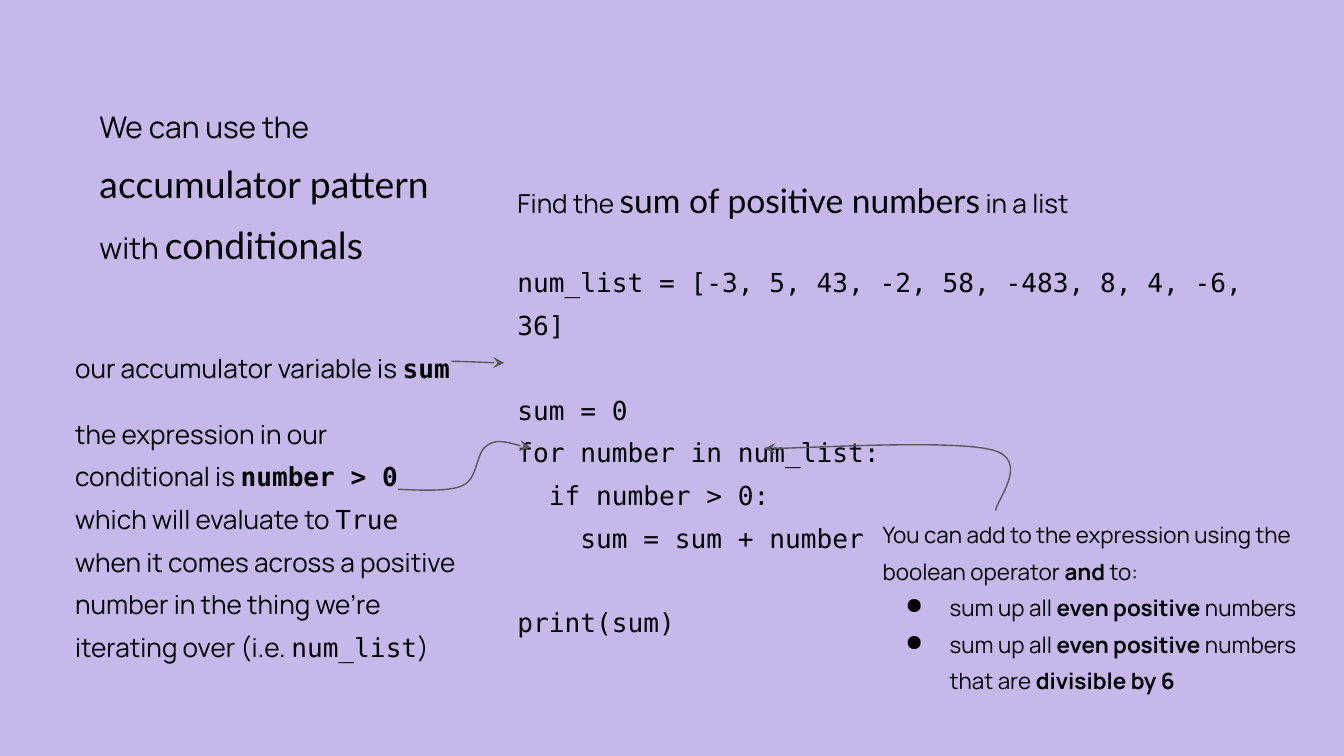
import pptx
import pptx.dml.color
import pptx.enum.text
import pptx.oxml
import pptx.oxml.ns
import pptx.util
from pptx.util import Cm

SANS, ACCENT, MONO = "Manrope", "Lato", "DejaVu Sans Mono"
BLACK, GREY, LILAC = "000000", "595959", "C6B8EB"
NS = pptx.oxml.ns.nsdecls("a")
qn = pptx.oxml.ns.qn


def rgb(value):
    return pptx.dml.color.RGBColor.from_string(value)


def write(sp, box, paragraphs):
    """Place sp and fill it; a paragraph is (space before, bulleted, runs)."""
    sp.left, sp.top, sp.width, sp.height = [Cm(v) for v in box]
    tf = sp.text_frame
    frame = dict.fromkeys(("margin_left", "margin_top", "margin_right", "margin_bottom"), Cm(0.25))
    frame.update(word_wrap=True, auto_size=pptx.enum.text.MSO_AUTO_SIZE.NONE,
                 vertical_anchor=pptx.enum.text.MSO_ANCHOR.TOP)
    for name, value in frame.items():
        setattr(tf, name, value)
    for i, (before, bulleted, runs) in enumerate(paragraphs):
        p = tf.add_paragraph() if i else tf.paragraphs[0]
        style = {"alignment": pptx.enum.text.PP_ALIGN.LEFT, "line_spacing": 1.36,
                 "space_before": pptx.util.Pt(before), "space_after": pptx.util.Pt(0)}
        for name, value in style.items():
            setattr(p, name, value)
        pPr = p._p.get_or_add_pPr()
        pPr.set("marL", str(Cm(1.27) if bulleted else 0))
        pPr.set("indent", str(Cm(-0.84) if bulleted else 0))
        if bulleted:
            pPr.append(pptx.oxml.parse_xml(f'<a:buClr {NS}><a:srgbClr val="{BLACK}"/></a:buClr>'))
            pPr.append(pptx.oxml.parse_xml(f'<a:buChar {NS} char="●"/>'))
        else:
            pPr.append(pptx.oxml.parse_xml(f"<a:buNone {NS}/>"))
        for text, font, size, bold in runs:
            r = p.add_run()
            r.text = text
            for name, value in {"name": font, "size": pptx.util.Pt(size), "bold": bold}.items():
                setattr(r.font, name, value)
            r.font.color.rgb = rgb(BLACK)


prs = pptx.Presentation()
prs.slide_width, prs.slide_height = Cm(25.4), Cm(14.29)
s = prs.slides.add_slide(prs.slide_layouts[1])
s.background.fill.solid()
s.background.fill.fore_color.rgb = rgb(LILAC)

# Code on the right
code = [
    (19, "num_list = [-3, 5, 43, -2, 58, -483, 8, 4, -6, 36]"),
    (22.6, "sum = 0"),
    (0, "for number in num_list:"),
    (0, "  if number > 0:"),
    (0, "    sum = sum + number"),
    (22.6, "print(sum)"),
]
task = [("Find the ", SANS, 14, False), ("sum of positive numbers", ACCENT, 18, False),
        (" in a list", SANS, 14, False)]
write(s.placeholders[1], (9.53, 2.87, 14.55, 8.53),
      [(0, False, task)] + [(gap, False, [(line, MONO, 14, False)]) for gap, line in code])

# Title
write(s.shapes.title, (1.63, 1.57, 7.04, 3.45), [(0, False, [
    ("We can use the ", SANS, 16, False), ("accumulator pattern ", ACCENT, 20, False),
    ("with ", SANS, 16, False), ("conditionals", ACCENT, 20, False), (" ", SANS, 16, False)])])

# Notes, each grouped with its curved arrow: box, paragraphs, Bezier points
even = [("sum up all ", SANS, 12, False), ("even positive", SANS, 12, True)]
notes = [
    ((1.17, 6.2, 8.33, 1.12),
     [(0, False, [("our accumulator variable is ", SANS, 14, False), ("sum", MONO, 14, True)])],
     [(8.53, 6.83), (8.71, 6.83), (9.35, 6.86), (9.53, 6.86)]),
    ((1.17, 7.44, 7.87, 5.18),
     [(0, False, [
         ("the expression in our conditional is ", SANS, 14, False),
         ("number > 0 ", MONO, 14, True),
         ("which will evaluate to ", SANS, 14, False),
         ("True ", MONO, 14, False),
         ("when it comes across a positive number in the thing we’re iterating over (i.e. ",
          SANS, 14, False),
         ("num_list", MONO, 14, False),
         (")", SANS, 14, False)])],
     [(7.52, 9.25), (7.72, 9.25), (8.48, 9.32), (8.76, 9.17), (9.04, 9.04),
      (8.99, 8.53), (9.22, 8.41), (9.42, 8.28), (9.88, 8.46), (10.03, 8.46)]),
    ((16.43, 9.42, 8.36, 3.81),
     [(0, False, [
         ("You can add to the expression using the boolean operator ", SANS, 12, False),
         ("and", SANS, 12, True), (" to:", SANS, 12, False)]),
      (0, True, even + [(" numbers", SANS, 12, False)]),
      (0, True, even + [(" numbers that are ", SANS, 12, False),
                        ("divisible by 6", SANS, 12, True)])],
     [(18.82, 9.65), (18.82, 9.47), (19.48, 8.71), (18.77, 8.51),
      (18.03, 8.31), (15.16, 8.48), (14.45, 8.48)]),
]
for box, paragraphs, points in notes:
    group = s.shapes.add_group_shape()
    write(group.shapes.add_textbox(0, 0, 0, 0), box, paragraphs)

    start, *rest = [(Cm(x), Cm(y)) for x, y in points]
    builder = group.shapes.build_freeform(*start)
    builder.add_line_segments(rest, close=False)
    arrow = builder.convert_to_shape()
    arrow.shadow.inherit = False
    arrow.fill.background()
    arrow.line.width = pptx.util.Pt(0.75)
    arrow.line.color.rgb = rgb(GREY)
    arrow.line._get_or_add_ln().append(pptx.oxml.parse_xml(f'<a:tailEnd {NS} type="stealth"/>'))

    # Every three line segments become one cubic curve
    segments = list(arrow._element.iter(qn("a:lnTo")))
    for i in range(0, len(segments), 3):
        curve = pptx.oxml.parse_xml(f"<a:cubicBezTo {NS}/>")
        segments[i].addprevious(curve)
        for segment in segments[i:i + 3]:
            curve.append(segment[0])
            segment.getparent().remove(segment)

prs.save("out.pptx")
